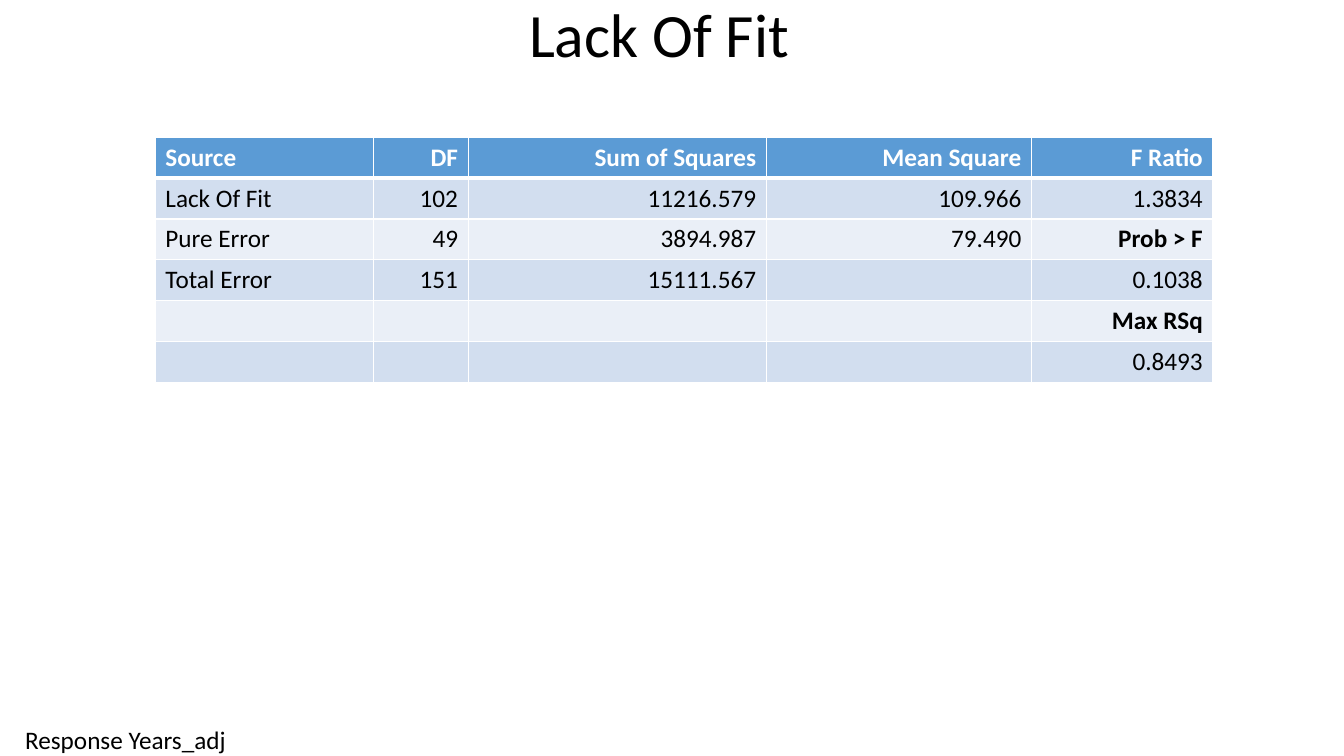
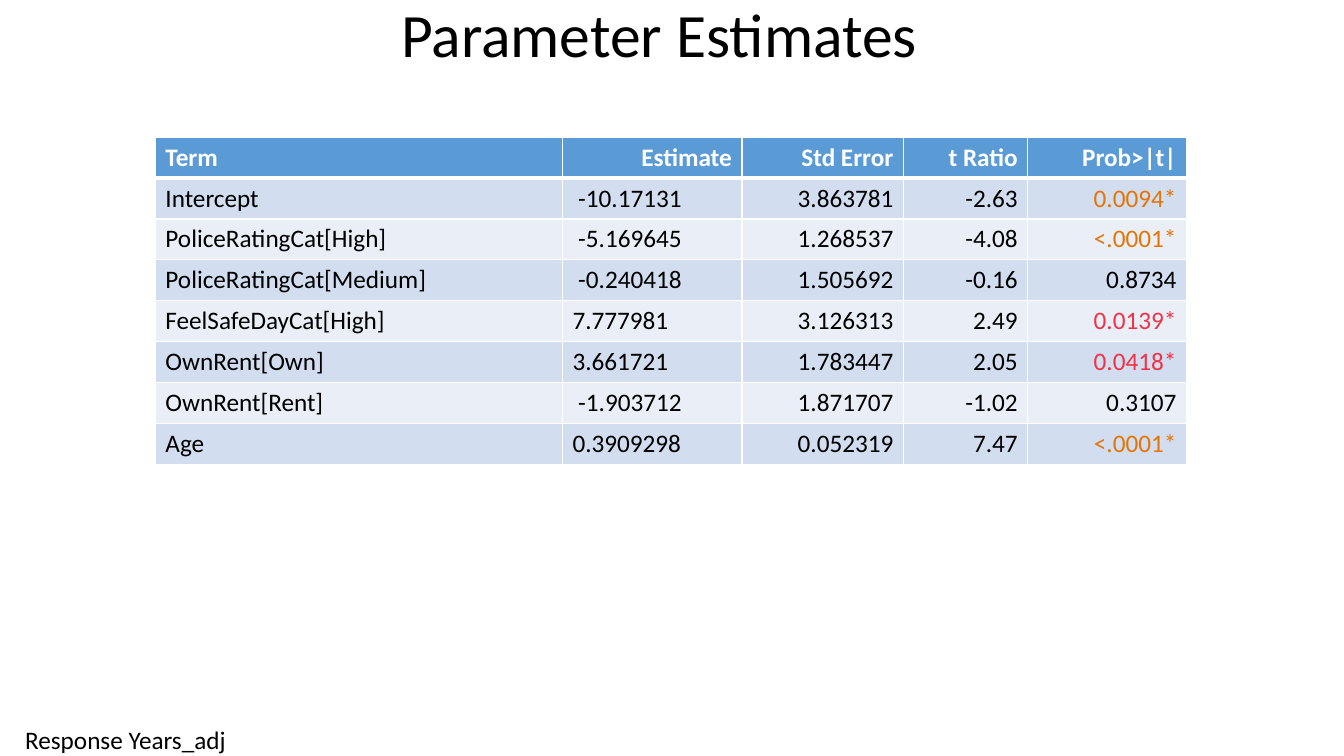
from dataclasses import dataclass

from lxml import etree
from pptx import Presentation
from pptx.dml import color
from pptx.enum import text
from pptx.oxml import ns
from pptx.util import Pt


@dataclass(frozen=True)
class Theme:
    font: str = "Calibri"
    title_size: int = 44
    body_size: int = 18
    ink: str = "000000"
    white: str = "FFFFFF"
    header: str = "5B9BD5"
    bands: tuple = ("D2DEEF", "EAEFF7")
    strong: str = "E57406"
    significant: str = "F03246"
    rule: int = 1
    header_rule: int = 3


@dataclass(frozen=True)
class Box:
    left: float
    top: float
    width: float
    height: float

    def lengths(self):
        return Pt(self.left), Pt(self.top), Pt(self.width), Pt(self.height)


THEME = Theme()
PAGE = Box(0, 0, 960, 540)
TITLE = Box(0, 0, 941.76, 54)
FOOTER = Box(18, 517.68, 146.16, 22.32)
TABLE_LEFT, TABLE_TOP, ROW_HEIGHT = 111, 98, 29.2
SUBHEADS = {"Prob > F", "Max RSq"}
ALIGN = {"l": text.PP_ALIGN.LEFT, "r": text.PP_ALIGN.RIGHT, "c": text.PP_ALIGN.CENTER}

SLIDES = [
    {
        "title": "Lack Of Fit",
        "widths": [155.6, 67.8, 213, 189.4, 129.6],
        "align": "lrrrr",
        "rows": [
            ["Source", "DF", "Sum of Squares", "Mean Square", "F Ratio"],
            ["Lack Of Fit", "102", "11216.579", "109.966", "1.3834"],
            ["Pure Error", "49", "3894.987", "79.490", "Prob > F"],
            ["Total Error", "151", "15111.567", "", "0.1038"],
            ["", "", "", "", "Max RSq"],
            ["", "", "", "", "0.8493"],
        ],
    },
    {
        "title": "Parameter Estimates",
        "widths": [290.8, 128.2, 115.4, 88.8, 113.4],
        "align": "llrrr",
        "rows": [
            ["Term", "Estimate", "Std Error", "t Ratio", "Prob>|t|"],
            ["Intercept", " -10.17131", "3.863781", " -2.63", "0.0094*"],
            ["PoliceRatingCat[High]", " -5.169645", "1.268537", " -4.08", "<.0001*"],
            ["PoliceRatingCat[Medium]", " -0.240418", "1.505692", " -0.16", "0.8734"],
            ["FeelSafeDayCat[High]", "7.777981", "3.126313", "2.49", "0.0139*"],
            ["OwnRent[Own]", "3.661721", "1.783447", "2.05", "0.0418*"],
            ["OwnRent[Rent]", " -1.903712", "1.871707", " -1.02", "0.3107"],
            ["Age", "0.3909298", "0.052319", "7.47", "<.0001*"],
        ],
    },
]


def add_span(para, words, size, ink=THEME.ink, bold=False):
    span = para.add_run()
    span.text = words
    span.font.name = THEME.font
    span.font.size = Pt(size)
    span.font.bold = bold
    span.font.color.rgb = color.RGBColor.from_string(ink)


def add_title(page, box, words):
    frame = page.shapes.add_textbox(*box.lengths()).text_frame
    frame.word_wrap = True
    frame.vertical_anchor = text.MSO_ANCHOR.MIDDLE
    para = frame.paragraphs[0]
    para.alignment = ALIGN["c"]
    para.line_spacing = 0.9
    add_span(para, words, THEME.title_size)


def add_footer(page, box, words):
    frame = page.shapes.add_textbox(*box.lengths()).text_frame
    frame.margin_left = frame.margin_top = frame.margin_right = frame.margin_bottom = 0
    frame.word_wrap = False
    frame.auto_size = text.MSO_AUTO_SIZE.SHAPE_TO_FIT_TEXT
    add_span(frame.paragraphs[0], words, THEME.body_size)


def set_borders(cell, row):
    widths = {
        "lnL": THEME.rule,
        "lnR": THEME.rule,
        "lnT": THEME.header_rule if row == 1 else THEME.rule,
        "lnB": THEME.header_rule if row == 0 else THEME.rule,
    }
    properties = cell._tc.get_or_add_tcPr()
    for index, (side, width) in enumerate(widths.items()):
        line = etree.Element(ns.qn(f"a:{side}"), w=str(Pt(width)))
        fill = etree.SubElement(line, ns.qn("a:solidFill"))
        etree.SubElement(fill, ns.qn("a:srgbClr"), val=THEME.white)
        properties.insert(index, line)


def value_ink(words):
    if not words.endswith("*"):
        return THEME.ink
    return THEME.strong if float(words.strip("<*")) < 0.01 else THEME.significant


def fill_cell(cell, words, row, align):
    header = row == 0
    cell.fill.solid()
    band = THEME.header if header else THEME.bands[(row - 1) % 2]
    cell.fill.fore_color.rgb = color.RGBColor.from_string(band)
    set_borders(cell, row)
    para = cell.text_frame.paragraphs[0]
    para.alignment = ALIGN[align]
    if words:
        ink = THEME.white if header else value_ink(words)
        add_span(para, words, THEME.body_size, ink, header or words in SUBHEADS)


def add_report_table(page, box, rows, widths, body_align):
    table = page.shapes.add_table(len(rows), len(widths), *box.lengths()).table
    for column, width in zip(table.columns, widths):
        column.width = Pt(width)
    header_align = "l" + "r" * (len(widths) - 1)
    for row, values in enumerate(rows):
        table.rows[row].height = Pt(box.height / len(rows))
        aligns = body_align if row else header_align
        for column, (words, align) in enumerate(zip(values, aligns)):
            fill_cell(table.cell(row, column), words, row, align)


def add_report_page(deck, title, rows, widths, align):
    page = deck.slides.add_slide(deck.slide_layouts[6])
    add_footer(page, FOOTER, "Response Years_adj")
    add_title(page, TITLE, title)
    box = Box(TABLE_LEFT, TABLE_TOP, sum(widths), ROW_HEIGHT * len(rows))
    add_report_table(page, box, rows, widths, align)


def main():
    deck = Presentation()
    deck.slide_width, deck.slide_height = Pt(PAGE.width), Pt(PAGE.height)
    for content in SLIDES:
        add_report_page(deck, **content)
    deck.save("out.pptx")


if __name__ == "__main__":
    main()
